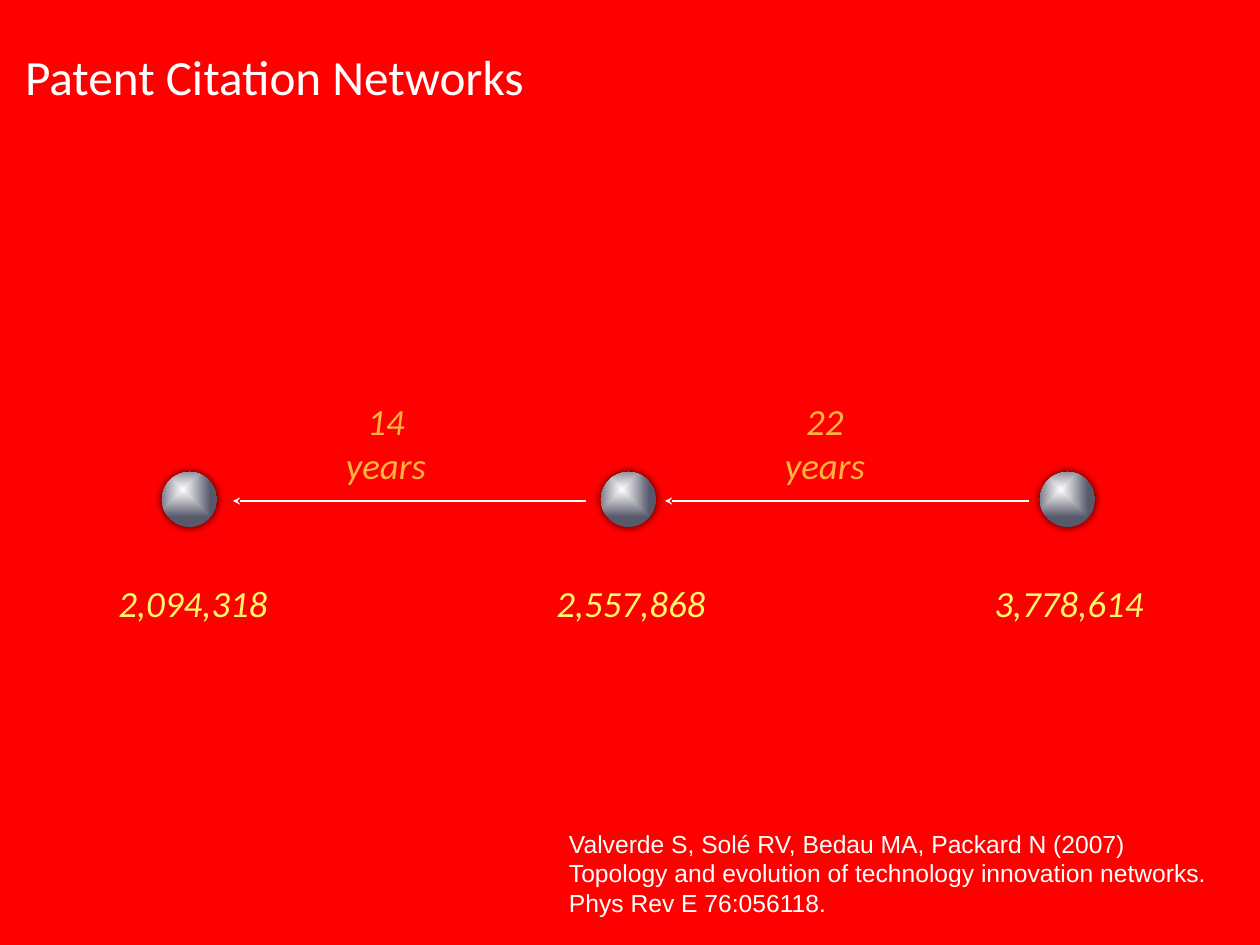
from lxml.etree import SubElement
from pptx import Presentation
from pptx.dml.color import RGBColor
from pptx.enum.shapes import MSO_CONNECTOR as Connector, MSO_SHAPE as Shape
from pptx.enum.text import MSO_ANCHOR as Anchor, MSO_AUTO_SIZE as AutoSize, PP_ALIGN as Align
from pptx.oxml.ns import qn
from pptx.util import Emu, Pt

EMU_PER_PX = 10321
WHITE = "FFFFFF"
PATENTS = ["2,094,318", "2,557,868", "3,778,614"]
DELAYS = ["14 years", "22 years"]
ARROWS = [(233, 586), (665, 1029)]
REFERENCE = [
    "Valverde S, Solé RV, Bedau MA, Packard N (2007)",
    "Topology and evolution of technology innovation networks.",
    "Phys Rev E 76:056118.",
]


def px(*lengths):
    return [Emu(length * EMU_PER_PX) for length in lengths]


def color(code):
    return RGBColor.from_string(code)


def format_text(box, text, size, code, font="Calibri", italic=False, align=Align.LEFT, inset=4):
    frame = box.text_frame
    frame.text = text
    frame.word_wrap = True
    frame.auto_size = AutoSize.NONE
    frame.vertical_anchor = Anchor.MIDDLE
    frame.margin_left, frame.margin_top, frame.margin_right, frame.margin_bottom = px(*[inset] * 4)
    for para in frame.paragraphs:
        para.alignment = align
        for span in para.runs:
            span.font.size = Pt(size)
            span.font.name = font
            span.font.italic = italic
            span.font.color.rgb = color(code)


def add_title(page, text):
    title = page.shapes.title
    title.left, title.top, title.width, title.height = px(21, 43, 1216, 66)
    format_text(title, text, 40, WHITE)


def add_label(page, text, left, top, width, height, code, inset=4):
    box = page.shapes.add_textbox(*px(left, top, width, height))
    format_text(box, text, 30, code, italic=True, align=Align.CENTER, inset=inset)


def add_reference(page, lines):
    box = page.shapes.add_textbox(*px(564, 809, 666, 128))
    format_text(box, "\n".join(lines), 20, WHITE, font="Arial", inset=5)


def add_ball(page, left):
    ball = page.shapes.add_shape(Shape.OVAL, *px(left, 472, 55, 55))
    ball.line.fill.background()
    ball.fill.gradient()
    for stop, code in zip(ball.fill.gradient_stops, [WHITE, "58596B"]):
        stop.color.rgb = color(code)
    properties = ball._element.spPr
    gradient = properties.find(qn("a:gradFill"))
    gradient.remove(gradient.find(qn("a:lin")))
    focus = SubElement(gradient, qn("a:path"), {"path": "rect"})
    SubElement(focus, qn("a:fillToRect"), {"l": "38000", "t": "32000", "r": "62000", "b": "68000"})
    ball.shadow.inherit = False
    effects = properties.find(qn("a:effectLst"))
    shadow = SubElement(effects, qn("a:outerShdw"),
                        {"blurRad": str(Pt(7)), "dist": "0", "dir": "18900000"})
    black = SubElement(shadow, qn("a:srgbClr"), {"val": "000000"})
    SubElement(black, qn("a:alpha"), {"val": "80000"})


def add_arrow(page, tip, tail):
    arrow = page.shapes.add_connector(Connector.STRAIGHT, *px(tip, 501, tail, 501))
    arrow.line.color.rgb = color(WHITE)
    arrow.line.width = Pt(2)
    properties = arrow._element.spPr
    SubElement(properties.find(qn("a:ln")), qn("a:headEnd"), {"type": "stealth"})
    SubElement(properties, qn("a:effectLst"))


def main():
    deck = Presentation()
    deck.slide_width, deck.slide_height = px(1260, 945)
    page = deck.slides.add_slide(deck.slide_layouts[5])
    page.background.fill.solid()
    page.background.fill.fore_color.rgb = color("FF0000")

    for tip, tail in ARROWS:
        add_arrow(page, tip, tail)
    add_title(page, "Patent Citation Networks")
    for index, patent in enumerate(PATENTS):
        add_ball(page, 162 + 439 * index)
        add_label(page, patent, 106 + 438 * index, 576, 174, 54, "FFF76B")
    for index, delay in enumerate(DELAYS):
        add_label(page, delay, 341 + 439 * index, 398, 90, 90, "FFB43F", inset=0)
    add_reference(page, REFERENCE)
    deck.save("out.pptx")


if __name__ == "__main__":
    main()
